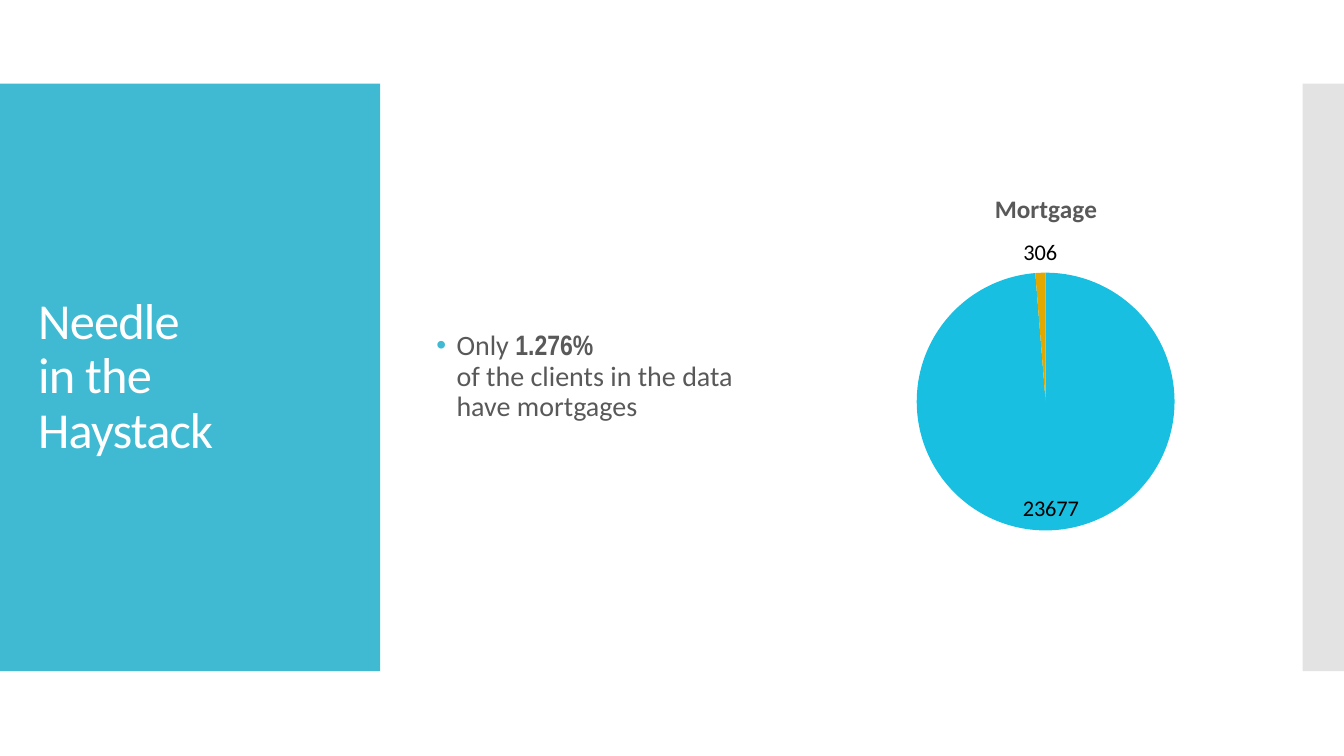
import pptx
import pptx.chart.data
import pptx.dml.color
import pptx.enum.chart
import pptx.enum.shapes
import pptx.enum.text
import pptx.oxml
import pptx.oxml.ns
import pptx.util

Inches = pptx.util.Inches
Pt = pptx.util.Pt
qn = pptx.oxml.ns.qn


def color(code):
    return pptx.dml.color.RGBColor.from_string(code)


def node(xml, space):
    head, gap, tail = xml.partition(" ")
    return pptx.oxml.parse_xml(f"{head} {pptx.oxml.ns.nsdecls(space)} {tail}")


def style(font, size, code, face="Calibri", bold=False):
    font.name = face
    font.size = Pt(size)
    font.bold = bold
    font.color.rgb = color(code)


def add_band(slide, left, width, code, alpha=None):
    kind = pptx.enum.shapes.MSO_SHAPE.RECTANGLE
    band = slide.shapes.add_shape(kind, Inches(left), Inches(0.83), Inches(width), Inches(5.83))
    band.shadow.inherit = False
    band.fill.solid()
    band.fill.fore_color.rgb = color(code)
    band.line.fill.background()
    if alpha:
        tint = band.fill._xPr.find(".//" + qn("a:srgbClr"))
        tint.append(node(f'<a:alpha val="{alpha * 1000}"/>', "a"))


def add_text(slide, box):
    frame = slide.shapes.add_textbox(*map(Inches, box)).text_frame
    frame.word_wrap = True
    frame.vertical_anchor = pptx.enum.text.MSO_ANCHOR.MIDDLE
    para = frame.paragraphs[0]
    para.line_spacing = 0.9
    return para


def add_lines(para, lines, size, code, **look):
    for index, line in enumerate(lines):
        if index:
            para.add_line_break()
        run = para.add_run()
        run.text = line
        style(run.font, size, code, **look)


def add_title(slide):
    para = add_text(slide, (0.28, 1.23, 3.22, 5.03))
    add_lines(para, ["Needle ", "in the", "Haystack"], 36, "FFFFFF")
    for run in para.runs:
        run.font._element.set("spc", "-60")


def add_bullet(slide):
    para = add_text(slide, (4.23, 0.94, 8, 5.6))
    para.space_before = Pt(12)
    props = para._p.get_or_add_pPr()
    props.set("marL", str(Inches(0.2)))
    props.set("indent", str(-Inches(0.2)))
    props.append(node('<a:buClr ><a:srgbClr val="40BAD2"/></a:buClr>', "a"))
    props.append(node('<a:buFont typeface="Arial"/>', "a"))
    props.append(node('<a:buChar char="•"/>', "a"))
    add_lines(para, ["Only "], 20, "595959")
    add_lines(para, ["1.276%"], 20, "595959", face="Arial Narrow", bold=True)
    para.add_line_break()
    add_lines(para, ["of the clients in the data", "have mortgages"], 20, "595959")


def set_layout(owner, after, inner=False, **spots):
    for old in owner.findall(qn("c:layout")):
        owner.remove(old)
    target = '<c:layoutTarget val="inner"/>' if inner else ""
    modes = "".join(f'<c:{key}Mode val="edge"/>' for key in "xy")
    parts = "".join(f'<c:{key} val="{value}"/>' for key, value in spots.items())
    layout = node(f"<c:layout ><c:manualLayout>{target}{modes}{parts}</c:manualLayout></c:layout>", "c")
    if after is None:
        owner.insert(0, layout)
    else:
        after.addnext(layout)


def add_pie(slide):
    data = pptx.chart.data.CategoryChartData()
    data.categories = ["1", "2"]
    data.add_series("Series 1", (23677, 306))
    box = map(Inches, (7.73, 1.65, 5.23, 4.06))
    chart = slide.shapes.add_chart(pptx.enum.chart.XL_CHART_TYPE.PIE, *box, data).chart
    chart.has_legend = False
    style(chart.font, 10, "000000")

    title = chart.chart_title
    add_lines(title.text_frame.paragraphs[0], ["Mortgage"], 18, "595959", bold=True)
    title.include_in_layout = False
    set_layout(title._element, title._element.find(qn("c:tx")), x=0.4, y=0.05)

    plot = chart.plots[0]
    plot.vary_by_categories = True
    area = plot._element.getparent()
    set_layout(area, None, inner=True, x=0.26, y=0.26, w=0.49, h=0.63)
    series = plot.series[0]
    for index, code in enumerate(("19BFE0", "E3A800")):
        fill = series.points[index].format.fill
        fill.solid()
        fill.fore_color.rgb = color(code)
    labels = series.data_labels
    labels.show_value = True
    labels.show_percentage = False
    labels.position = pptx.enum.chart.XL_LABEL_POSITION.BEST_FIT
    style(labels.font, 16, "000000")


def main():
    deck = pptx.Presentation()
    deck.slide_width = Inches(13.33)
    deck.slide_height = Inches(7.5)
    slide = deck.slides.add_slide(deck.slide_layouts[6])
    add_band(slide, 0, 3.77, "40BAD2")
    add_band(slide, 12.92, 0.41, "C8C8C8", alpha=50)
    add_title(slide)
    add_bullet(slide)
    add_pie(slide)
    deck.save("out.pptx")


if __name__ == "__main__":
    main()
